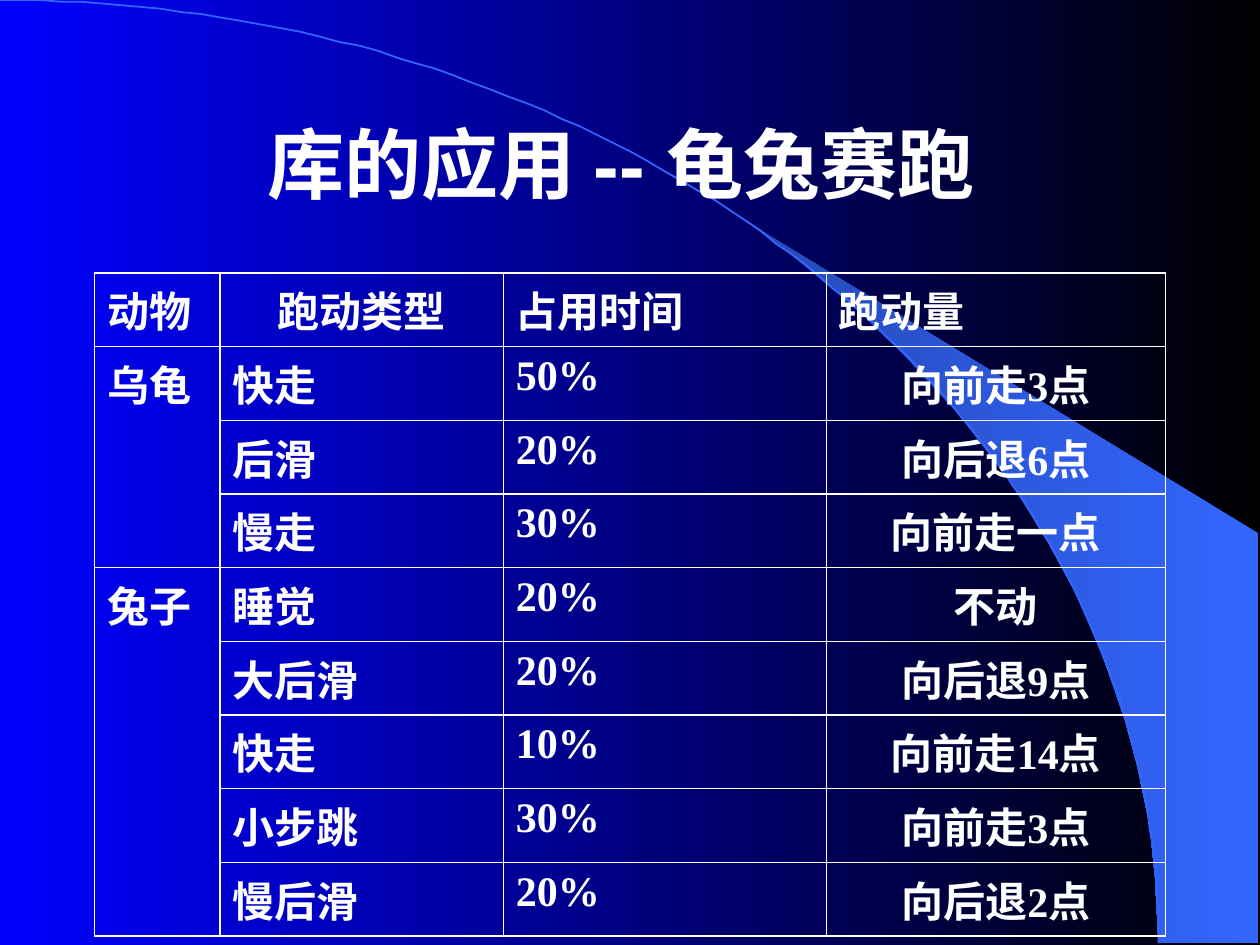
import math
from lxml import etree
from pptx import Presentation
from pptx.dml.color import RGBColor
from pptx.enum import text
from pptx.oxml import ns
from pptx.util import Pt

# Content
TITLE = "库的应用 -- 龟兔赛跑 "
HEADER = ("动物", "跑动类型", "占用时间", "跑动量")
ANIMALS = {
    "乌龟": [("快走", "50%", "向前走3点"),
           ("后滑", "20%", "向后退6点"),
           ("慢走", "30%", "向前走一点")],
    "兔子": [("睡觉", "20%", "不动"),
           ("大后滑", "20%", "向后退9点"),
           ("快走", "10%", "向前走14点"),
           ("小步跳", "30%", "向前走3点"),
           ("慢后滑", "20%", "向后退2点")],
}
COLORS = {"blue": "0000FF", "black": "000000", "white": "FFFFFF",
          "beam_dark": "2449B6", "beam_light": "3366FF"}

# Layout in points
WIDTH, HEIGHT = 720, 540
ARC_WIDTH, ARC_HEIGHT = 662.4, 539.3
BEAM = [(662.4, 538.6), (719.3, 539.3), (719.3, 304.6), (424.1, 124.6),
        (449.3, 143.3), (470.2, 159.8), (493.2, 180), (515.5, 201.6),
        (548.6, 237.6), (578.2, 276.5), (599, 310.3), (617.8, 344.9),
        (632.2, 380.2), (643, 411.8), (650.2, 438.5), (657.4, 472.3),
        (660.2, 501.1)]
TABLE_LEFT, TABLE_TOP = 54, 156
COLUMN_WIDTHS = (71.6, 162, 184.6, 193.8)
ROW_HEIGHT = 42.1
INDENT = 37.4


def color(name):
    return RGBColor.from_string(COLORS[name])


def set_gradient(fill, *names):
    fill.gradient()
    fill.gradient_angle = 0
    for stop, name in zip(fill.gradient_stops, names):
        stop.color.rgb = color(name)


def add_outline(points, close):
    builder = slide.shapes.build_freeform(*points[0], scale=Pt(1))
    builder.add_line_segments(points[1:], close=close)
    shape = builder.convert_to_shape()
    shape.shadow.inherit = False
    return shape


def style_text(para, words, font, size, align):
    para.text = words
    para.alignment = align
    for span in para.runs:
        span.font.name = font
        span.font.size = Pt(size)
        span.font.bold = True
        span.font.color.rgb = color("white")


def set_borders(cell):
    props = cell._tc.get_or_add_tcPr()
    for index, side in enumerate(("lnL", "lnR", "lnT", "lnB")):
        line = etree.Element(ns.qn("a:" + side), w=str(Pt(1)))
        fill = etree.SubElement(line, ns.qn("a:solidFill"))
        etree.SubElement(fill, ns.qn("a:srgbClr"), val=COLORS["white"])
        props.insert(index, line)


deck = Presentation()
deck.slide_width, deck.slide_height = Pt(WIDTH), Pt(HEIGHT)
slide = deck.slides.add_slide(deck.slide_layouts[6])
set_gradient(slide.background.fill, "blue", "black")

# Light beam and arc
beam = add_outline(BEAM, True)
set_gradient(beam.fill, "beam_dark", "beam_light")
beam.line.fill.background()

STEPS = 90
angles = [math.pi / 2 * step / STEPS for step in range(STEPS + 1)]
arc = add_outline([(ARC_WIDTH * math.sin(angle), ARC_HEIGHT * (1 - math.cos(angle)))
                   for angle in angles], False)
arc.fill.background()
arc.line.color.rgb = color("beam_light")
arc.line.width = Pt(1)

# Title
title = slide.shapes.add_textbox(Pt(54), Pt(48), Pt(612), Pt(90))
title.text_frame.word_wrap = True
title.text_frame.vertical_anchor = text.MSO_ANCHOR.MIDDLE
style_text(title.text_frame.paragraphs[0], TITLE, "Arial", 44, text.PP_ALIGN.CENTER)

# Table
rows = [HEADER]
spans = []
for animal, moves in ANIMALS.items():
    spans.append((len(rows), len(rows) + len(moves) - 1))
    rows += [(animal if index == 0 else "", *move) for index, move in enumerate(moves)]

table = slide.shapes.add_table(len(rows), len(HEADER), Pt(TABLE_LEFT), Pt(TABLE_TOP),
                               Pt(sum(COLUMN_WIDTHS)), Pt(ROW_HEIGHT * len(rows))).table
table.first_row = table.horz_banding = False
for column, width in zip(table.columns, COLUMN_WIDTHS):
    column.width = Pt(width)
for r, values in enumerate(rows):
    table.rows[r].height = Pt(ROW_HEIGHT)
    for c, words in enumerate(values):
        cell = table.cell(r, c)
        cell.fill.background()
        set_borders(cell)
        centred = c == 1 if r == 0 else c == 3
        para = cell.text_frame.paragraphs[0]
        style_text(para, words, "Times New Roman", 24,
                   text.PP_ALIGN.CENTER if centred else text.PP_ALIGN.LEFT)
        props = para._p.get_or_add_pPr()
        props.set("marL", str(Pt(INDENT)))
        props.set("indent", str(-Pt(INDENT)))
for first, last in spans:
    table.cell(first, 0).merge(table.cell(last, 0))

deck.save("out.pptx")
